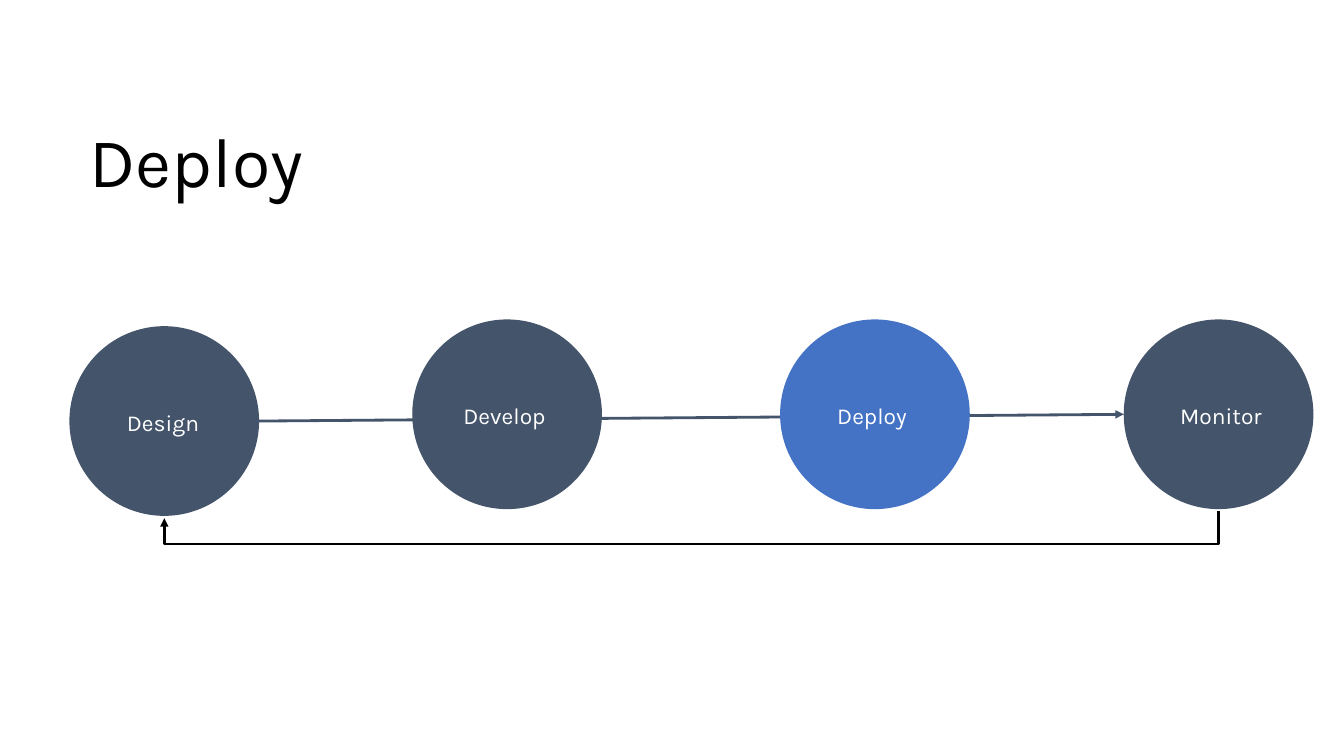
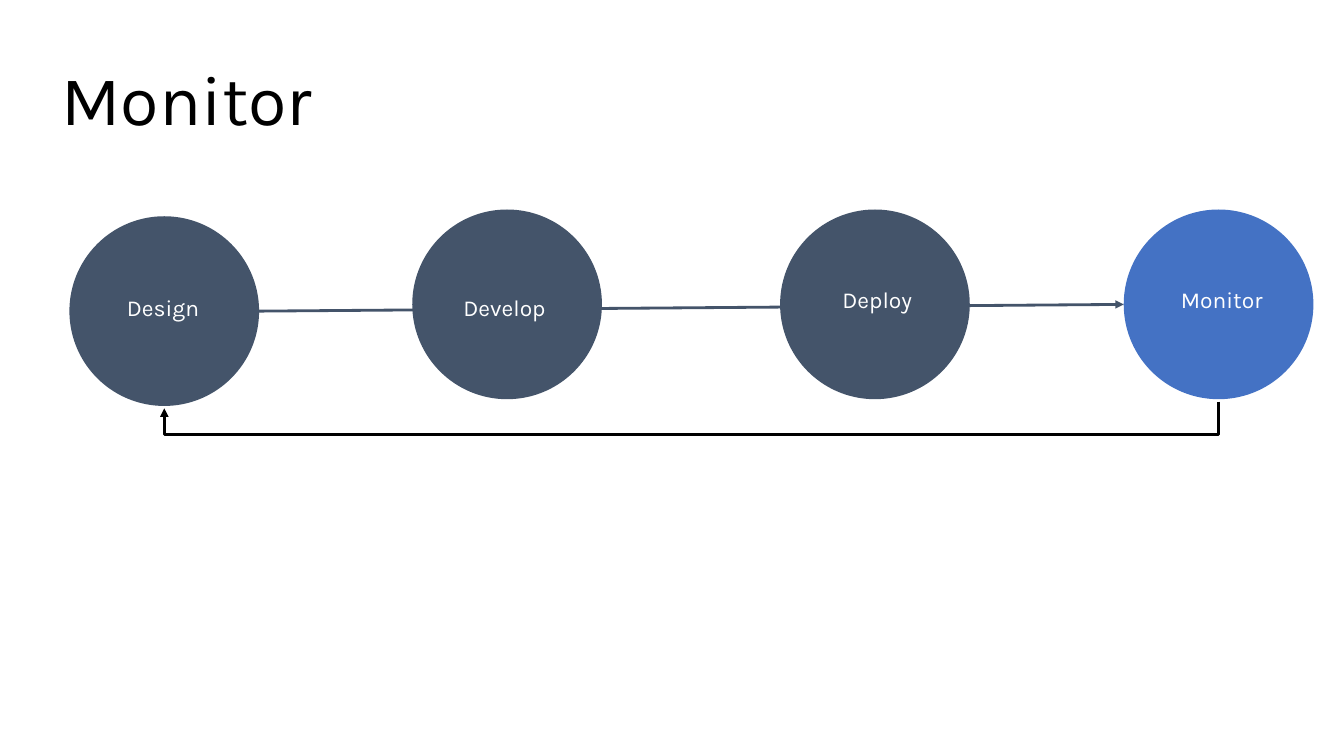
"""Build two slides that show the current step of a deployment cycle."""
from dataclasses import dataclass

from lxml import etree
from pptx import Presentation
from pptx.dml.color import RGBColor
from pptx.enum.shapes import MSO_CONNECTOR, MSO_SHAPE
from pptx.enum.text import MSO_ANCHOR, MSO_AUTO_SIZE, PP_ALIGN
from pptx.oxml.ns import qn
from pptx.util import Cm, Pt

STRAIGHT, ELBOW = MSO_CONNECTOR.STRAIGHT, MSO_CONNECTOR.ELBOW
ELLIPSE = MSO_SHAPE.OVAL
TOP, LEFT, NO_FIT = MSO_ANCHOR.TOP, PP_ALIGN.LEFT, MSO_AUTO_SIZE.NONE
TITLE_ONLY = 5
QUARTER_TURN = "5400000"


@dataclass(frozen=True)
class Theme:
    font: str = "Karla"
    ink: RGBColor = RGBColor.from_string("000000")
    paper: RGBColor = RGBColor.from_string("FFFFFF")
    step: RGBColor = RGBColor.from_string("44546A")
    current: RGBColor = RGBColor.from_string("4472C4")
    title_size: float = 50
    label_size: float = 16.3
    line_width: float = 2


STEPS = {"Design": 1.75, "Develop": 10.39, "Deploy": 19.66, "Monitor": 28.32}
DIAMETER = 4.78
DESIGN_DROP = 0.17
RETURN_GAP = 0.06
RETURN_DEPTH = 0.82
LABEL_WIDTH, LABEL_HEIGHT = 2.92, 1.07

SLIDES = [
    {
        "current": "Deploy",
        "title_box": (1.75, 2.79, 25.6, 2.97),
        "row_top": 8.05,
        "label_offsets": [(1.2, 1.83), (1.04, 1.83), (1.19, 1.83), (1.17, 1.83)],
    },
    {
        "current": "Monitor",
        "title_box": (1.04, 1.24, 25.6, 2.64),
        "row_top": 5.28,
        "label_offsets": [(1.2, 1.7), (1.04, 1.86), (1.32, 1.68), (1.19, 1.68)],
    },
]


class CycleDeck:
    """Hold the style and the current slide of the deck."""

    def __init__(self, theme):
        self.theme = theme
        self.deck = Presentation()
        self.deck.slide_width, self.deck.slide_height = Cm(33.87), Cm(19.05)
        self.slide = None

    def new_slide(self):
        self.slide = self.deck.slides.add_slide(self.deck.slide_layouts[TITLE_ONLY])
        fill = self.slide.background.fill
        fill.solid()
        fill.fore_color.rgb = self.theme.paper

    def set_text(self, holder, text, size, color, inset_x, inset_y, line_spacing):
        frame = holder.text_frame
        frame.text = text
        paragraph = frame.paragraphs[0]
        formats = [
            (frame, {
                "word_wrap": True, "auto_size": NO_FIT, "vertical_anchor": TOP,
                "margin_left": Cm(inset_x), "margin_right": Cm(inset_x),
                "margin_top": Cm(inset_y), "margin_bottom": Cm(inset_y),
            }),
            (paragraph, {"alignment": LEFT, "line_spacing": line_spacing}),
            (paragraph.runs[0].font, {"name": self.theme.font, "size": Pt(size)}),
            (paragraph.runs[0].font.color, {"rgb": color}),
        ]
        for target, values in formats:
            for attribute, value in values.items():
                setattr(target, attribute, value)

    def title(self, text, box):
        heading = self.slide.shapes.title
        for attribute, length in zip(("left", "top", "width", "height"), box):
            setattr(heading, attribute, Cm(length))
        self.set_text(heading, text, self.theme.title_size, self.theme.ink, 0.51, 0.41, 0.9)

    def circle(self, left, top, color):
        step = self.slide.shapes.add_shape(
            ELLIPSE, Cm(left), Cm(top), Cm(DIAMETER), Cm(DIAMETER))
        step.shadow.inherit = False
        step.fill.solid()
        step.fill.fore_color.rgb = color
        step.line.fill.background()

    def label(self, text, left, top):
        caption = self.slide.shapes.add_textbox(
            Cm(left), Cm(top), Cm(LABEL_WIDTH), Cm(LABEL_HEIGHT))
        self.set_text(caption, text, self.theme.label_size, self.theme.paper, 0.25, 0.25, 1.0)

    def arrow(self, kind, start, end, color):
        connector = self.slide.shapes.add_connector(
            kind, *(Cm(length) for length in (*start, *end)))
        connector.line.color.rgb = color
        connector.line.width = Pt(self.theme.line_width)
        properties = connector._element.spPr
        etree.SubElement(properties.find(qn("a:ln")), qn("a:tailEnd"), type="triangle")
        etree.SubElement(properties, qn("a:effectLst"))
        return properties

    def return_arrow(self, start, end, depth):
        """Draw an elbow arrow that leaves downwards and comes back up."""
        drop, span = end[1] - start[1], start[0] - end[0]
        middle_x, middle_y = (start[0] + end[0]) / 2, (start[1] + end[1]) / 2
        properties = self.arrow(
            ELBOW,
            (middle_x - drop / 2, middle_y - span / 2),
            (middle_x + drop / 2, middle_y + span / 2),
            self.theme.ink)
        properties.find(qn("a:xfrm")).set("rot", QUARTER_TURN)
        geometry = properties.find(qn("a:prstGeom"))
        adjustments = geometry.find(qn("a:avLst"))
        if adjustments is None:
            adjustments = etree.SubElement(geometry, qn("a:avLst"))
        etree.SubElement(adjustments, qn("a:gd"), name="adj1",
                         fmla=f"val {round(depth / drop * 100000)}")

    def cycle(self, current, row_top, label_offsets):
        radius = DIAMETER / 2
        design_x, monitor_x = STEPS["Design"], STEPS["Monitor"]
        design_top = row_top + DESIGN_DROP
        self.arrow(STRAIGHT, (design_x + DIAMETER, design_top + radius),
                   (monitor_x, row_top + radius), self.theme.step)
        for (step, left), (dx, dy) in zip(STEPS.items(), label_offsets):
            top = design_top if step == "Design" else row_top
            self.circle(left, top, self.theme.current if step == current else self.theme.step)
            self.label(step, left + dx, top + dy)
        below = DIAMETER + RETURN_GAP
        self.return_arrow((monitor_x + radius, row_top + below),
                          (design_x + radius, design_top + below), RETURN_DEPTH)


def main():
    cycle_deck = CycleDeck(Theme())
    for content in SLIDES:
        cycle_deck.new_slide()
        cycle_deck.title(content["current"], content["title_box"])
        cycle_deck.cycle(content["current"], content["row_top"], content["label_offsets"])
    cycle_deck.deck.save("out.pptx")


if __name__ == "__main__":
    main()
